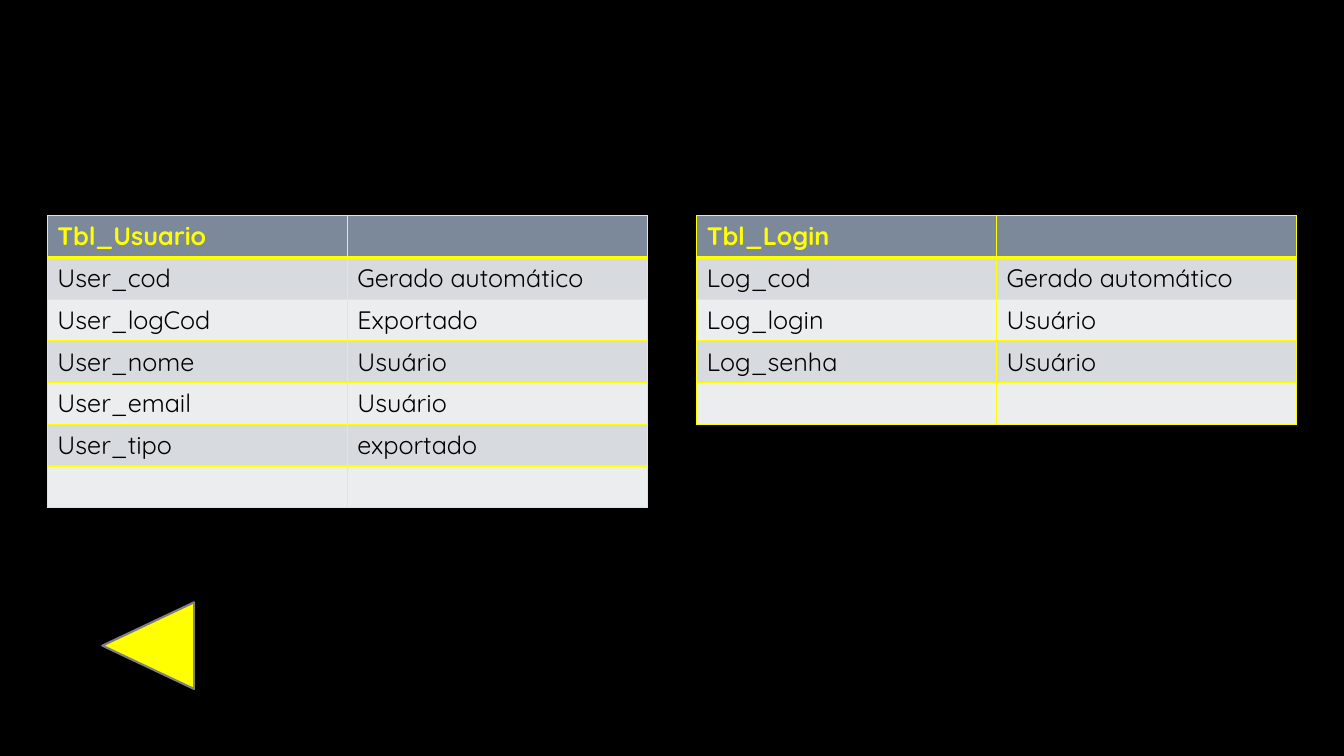
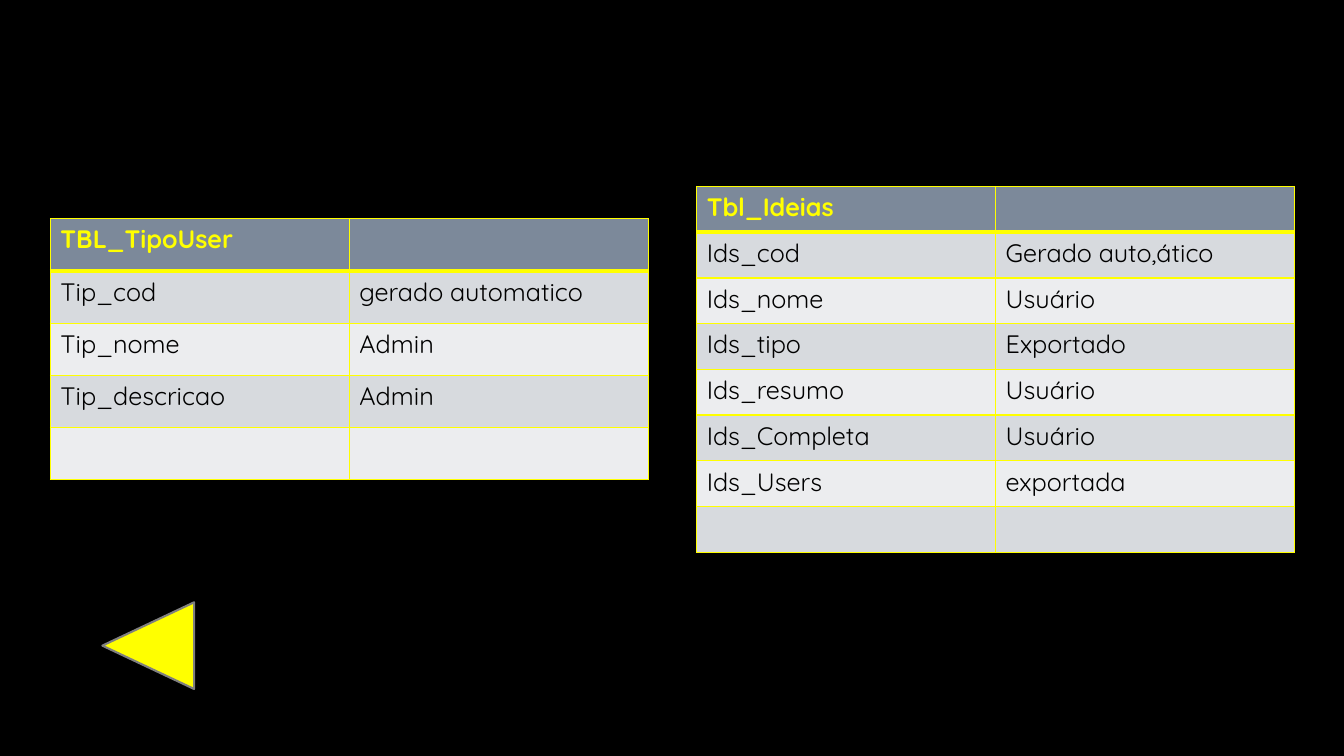
import pptx
import pptx.util
from lxml import etree
from pptx.dml.color import RGBColor
from pptx.enum.shapes import MSO_SHAPE
from pptx.oxml.ns import qn
from pptx.util import Inches

FONT = "Quicksand"
BLACK = RGBColor(0x00, 0x00, 0x00)
YELLOW = RGBColor(0xFF, 0xFF, 0x00)
GREY = RGBColor(0x7F, 0x7F, 0x7F)
HEADER_FILL = RGBColor(0x7C, 0x89, 0x9A)
BAND_FILLS = (RGBColor(0xD7, 0xDA, 0xDE), RGBColor(0xEC, 0xED, 0xEF))

# Each slide holds tables: left, top, width, height and rows, header first.
SLIDES = [
    [
        {"at": (0.47, 2.14, 5.95, 2.84), "rows": [
            ("Tbl_Usuario", ""),
            ("User_cod", "Gerado automático"),
            ("User_logCod", "Exportado"),
            ("User_nome", "Usuário"),
            ("User_email", "Usuário"),
            ("User_tipo", "exportado"),
            ("", ""),
        ]},
        {"at": (6.91, 2.14, 5.95, 2.03), "rows": [
            ("Tbl_Login", ""),
            ("Log_cod", "Gerado automático"),
            ("Log_login", "Usuário"),
            ("Log_senha", "Usuário"),
            ("", ""),
        ]},
    ],
    [
        {"at": (0.5, 2.17, 5.93, 2.59), "rows": [
            ("TBL_TipoUser", ""),
            ("Tip_cod", "gerado automatico"),
            ("Tip_nome", "Admin"),
            ("Tip_descricao", "Admin"),
            ("", ""),
        ]},
        {"at": (6.91, 1.85, 5.93, 3.63), "rows": [
            ("Tbl_Ideias", ""),
            ("Ids_cod", "Gerado auto,ático"),
            ("Ids_nome", "Usuário"),
            ("Ids_tipo", "Exportado"),
            ("Ids_resumo", "Usuário"),
            ("Ids_Completa", "Usuário"),
            ("Ids_Users", "exportada"),
            ("", ""),
        ]},
    ],
]


def set_borders(cell, top, bottom):
    """Draw yellow borders; top and bottom are widths in points."""
    properties = cell._tc.get_or_add_tcPr()
    widths = {"a:lnL": 1, "a:lnR": 1, "a:lnT": top, "a:lnB": bottom}
    for position, (side, width) in enumerate(widths.items()):
        border = etree.Element(qn(side), w=str(pptx.util.Pt(width)))
        fill = etree.SubElement(border, qn("a:solidFill"))
        etree.SubElement(fill, qn("a:srgbClr"), val=str(YELLOW))
        properties.insert(position, border)


def format_cell(cell, row_index):
    is_header = row_index == 0
    cell.fill.solid()
    cell.fill.fore_color.rgb = (
        HEADER_FILL if is_header else BAND_FILLS[(row_index - 1) % 2])
    font = cell.text_frame.paragraphs[0].font
    font.name = FONT
    font.size = pptx.util.Pt(18)
    font.bold = is_header
    font.color.rgb = YELLOW if is_header else BLACK
    set_borders(cell, top=3 if row_index == 1 else 1, bottom=3 if is_header else 1)


def add_field_table(slide, at, rows):
    left, top, width, height = map(Inches, at)
    table = slide.shapes.add_table(
        len(rows), len(rows[0]), left, top, width, height).table
    for row_index, fields in enumerate(rows):
        for column_index, field in enumerate(fields):
            cell = table.cell(row_index, column_index)
            cell.text = field
            format_cell(cell, row_index)


def add_back_arrow(slide):
    arrow = slide.shapes.add_shape(
        MSO_SHAPE.ISOSCELES_TRIANGLE,
        Inches(1.04), Inches(5.95), Inches(0.86), Inches(0.91))
    arrow.rotation = 270
    arrow.shadow.inherit = False
    arrow.fill.solid()
    arrow.fill.fore_color.rgb = YELLOW
    arrow.line.color.rgb = GREY
    arrow.line.width = pptx.util.Pt(1.5)


def main():
    presentation = pptx.Presentation()
    presentation.slide_width = Inches(13.33)
    presentation.slide_height = Inches(7.5)
    background = presentation.slide_master.background.fill
    background.solid()
    background.fore_color.rgb = BLACK
    blank_layout = presentation.slide_layouts.get_by_name("Blank")
    for tables in SLIDES:
        slide = presentation.slides.add_slide(blank_layout)
        for table in tables:
            add_field_table(slide, **table)
        add_back_arrow(slide)
    presentation.save("out.pptx")


if __name__ == "__main__":
    main()
